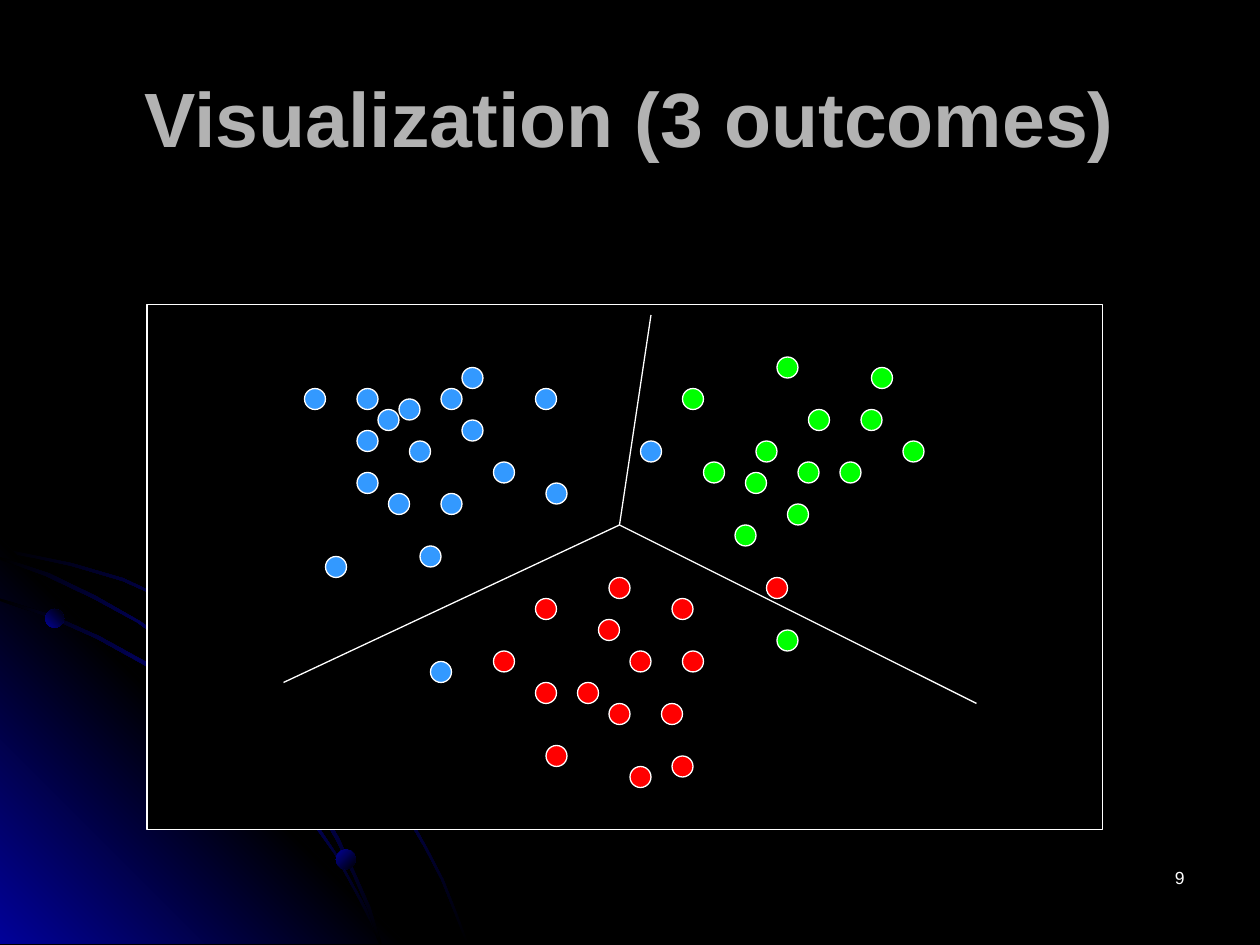
from copy import deepcopy
from dataclasses import dataclass

from pptx import Presentation
from pptx.dml.color import RGBColor as RGB
from pptx.enum.shapes import MSO_CONNECTOR as LINK, MSO_SHAPE as KIND
from pptx.enum.text import MSO_ANCHOR as ANCHOR, PP_ALIGN as ALIGN
from pptx.oxml.ns import qn
from pptx.util import Inches, Pt


@dataclass(frozen=True)
class Theme:
    """Hold the colours, type sizes and line width."""
    black: str = "000000"
    white: str = "FFFFFF"
    gray: str = "B2B2B2"
    navy: str = "010199"
    blue: str = "3399FF"
    red: str = "FF0000"
    green: str = "00FF00"
    font: str = "Arial"
    head: int = 44
    note: int = 10
    line: float = 0.75


T = Theme()
CELL = Inches(1) // 12
DOT = 2
HUB = (59, 50)
ENDS = [(27, 65), (62, 30), (93, 67)]
PANEL = (14, 29, 91, 50)

GROUPS = {
    T.blue: [(34, 37), (38, 38), (34, 41), (34, 45), (42, 37), (44, 40), (39, 42),
             (47, 44), (31, 53), (42, 47), (44, 35), (40, 52), (52, 46), (41, 63),
             (61, 42), (51, 37), (37, 47), (29, 37), (36, 39)],
    T.red: [(51, 57), (47, 62), (55, 65), (52, 71), (58, 67), (60, 73), (60, 62),
            (58, 55), (57, 59), (64, 57), (65, 62), (63, 67), (51, 65), (64, 72),
            (73, 55)],
    T.green: [(72, 42), (65, 37), (74, 34), (77, 39), (67, 44), (82, 39), (76, 44),
              (71, 45), (83, 35), (80, 44), (75, 48), (86, 42), (70, 50), (74, 60)],
}

WEDGE = [(322, 749), (0, 749), (0, 427)]
OUTER = [(57, 447), (28, 441), (0, 435), (0, 438), (28, 443), (56, 449), (97, 461),
         (135, 478), (173, 499), (208, 523), (241, 549), (271, 579), (298, 612),
         (323, 649), (337, 673), (350, 698), (360, 723), (370, 749), (372, 749),
         (362, 723), (352, 698), (339, 673), (325, 648), (300, 611), (272, 578),
         (242, 548), (209, 521), (174, 497), (136, 477), (98, 459)]
INNER = [(285, 714), (294, 732), (301, 749), (303, 749), (296, 730), (286, 712),
         (266, 676), (242, 640), (215, 606), (184, 576), (152, 549), (117, 526),
         (79, 505), (41, 488), (0, 475), (0, 477), (39, 490), (77, 507),
         (115, 528), (150, 551), (183, 578), (213, 608), (240, 642), (265, 677)]
MIDDLE = [(0, 442), (0, 444), (36, 457), (74, 475), (109, 494), (142, 518),
          (173, 544), (202, 575), (227, 605), (252, 641), (267, 667), (280, 694),
          (292, 722), (301, 749), (303, 749), (294, 720), (282, 693), (269, 665),
          (254, 639), (229, 603), (204, 573), (175, 543), (144, 516), (111, 493),
          (76, 473), (39, 455)]


def grid(*cells):
    """Turn grid cells into lengths."""
    return [round(c * CELL) for c in cells]


def blend(shape, hues, angle):
    """Fill a shape with evenly spaced gradient stops and no outline."""
    shape.shadow.inherit = False
    shape.line.fill.background()
    shape.fill.gradient()
    stops = shape._element.spPr.find(".//" + qn("a:gsLst"))
    for _ in hues[2:]:
        stops.append(deepcopy(stops[0]))
    for i, (stop, hue) in enumerate(zip(shape.fill.gradient_stops, hues)):
        stop.color.rgb = RGB.from_string(hue)
        stop.position = i / (len(hues) - 1)
    shape.fill.gradient_angle = angle


def sweep(slide, points, hues, angle):
    """Draw a closed outline given in hundredths of an inch."""
    pen = slide.shapes.build_freeform(*points[0], scale=Inches(0.01))
    pen.add_line_segments(points[1:], close=True)
    blend(pen.convert_to_shape(), hues, angle)


def bead(slide, box, angle):
    """Draw a shaded bead on a sweep."""
    shape = slide.shapes.add_shape(KIND.OVAL, *grid(*box))
    blend(shape, [T.navy, T.black], angle)


def stroke(line):
    """Give a line the common colour and width."""
    line.color.rgb = RGB.from_string(T.white)
    line.width = Pt(T.line)


def solid(slide, kind, box, hue):
    """Draw a filled shape with a thin outline."""
    shape = slide.shapes.add_shape(kind, *grid(*box))
    shape.shadow.inherit = False
    shape.fill.solid()
    shape.fill.fore_color.rgb = RGB.from_string(hue)
    stroke(shape.line)


def link(slide, start, end):
    """Draw a straight border between two grid points."""
    line = slide.shapes.add_connector(LINK.STRAIGHT, *grid(*start, *end))
    stroke(line.line)
    props = line._element.spPr
    props.append(props.makeelement(qn("a:effectLst"), {}))


def write(shape, box, text, size, hue, align, anchor, bold=False):
    """Place a text shape and style its single paragraph."""
    shape.left, shape.top, shape.width, shape.height = grid(*box)
    frame = shape.text_frame
    frame.word_wrap = True
    frame.vertical_anchor = anchor
    frame.text = text
    para = frame.paragraphs[0]
    para.alignment = align
    font = para.runs[0].font
    font.name, font.size, font.bold = T.font, Pt(size), bold
    font.color.rgb = RGB.from_string(hue)


def backdrop(slide):
    """Paint the dark ground with its corner glow and sweeps."""
    fill = slide.background.fill
    fill.solid()
    fill.fore_color.rgb = RGB.from_string(T.black)
    glow = [T.black, T.navy, T.black]
    sweep(slide, OUTER, glow, 315)
    sweep(slide, WEDGE, [T.navy, T.black, T.navy], 45)
    for points in (INNER, MIDDLE):
        sweep(slide, points, glow, 315)
    bead(slide, (4.3, 58, 1.8, 1.8), 45)
    bead(slide, (32, 80.9, 1.9, 1.9), 315)


def plot(slide):
    """Draw the panel, its three regions and the dots."""
    solid(slide, KIND.RECTANGLE, PANEL, T.black)
    for end in ENDS:
        link(slide, HUB, end)
    for hue, spots in GROUPS.items():
        for spot in spots:
            solid(slide, KIND.OVAL, (*spot, DOT, DOT), hue)


def main():
    """Build and save the slide."""
    deck = Presentation()
    deck.slide_width, deck.slide_height = grid(120, 90)
    slide = deck.slides.add_slide(deck.slide_layouts[5])
    backdrop(slide)
    write(slide.shapes.title, (6, 3.6, 108, 15), "Visualization (3 outcomes)",
          T.head, T.gray, ALIGN.CENTER, ANCHOR.MIDDLE, True)
    box = (86, 82, 28, 6)
    write(slide.shapes.add_textbox(*grid(*box)), box, "9",
          T.note, T.white, ALIGN.RIGHT, ANCHOR.TOP)
    plot(slide)
    deck.save("out.pptx")


if __name__ == "__main__":
    main()
